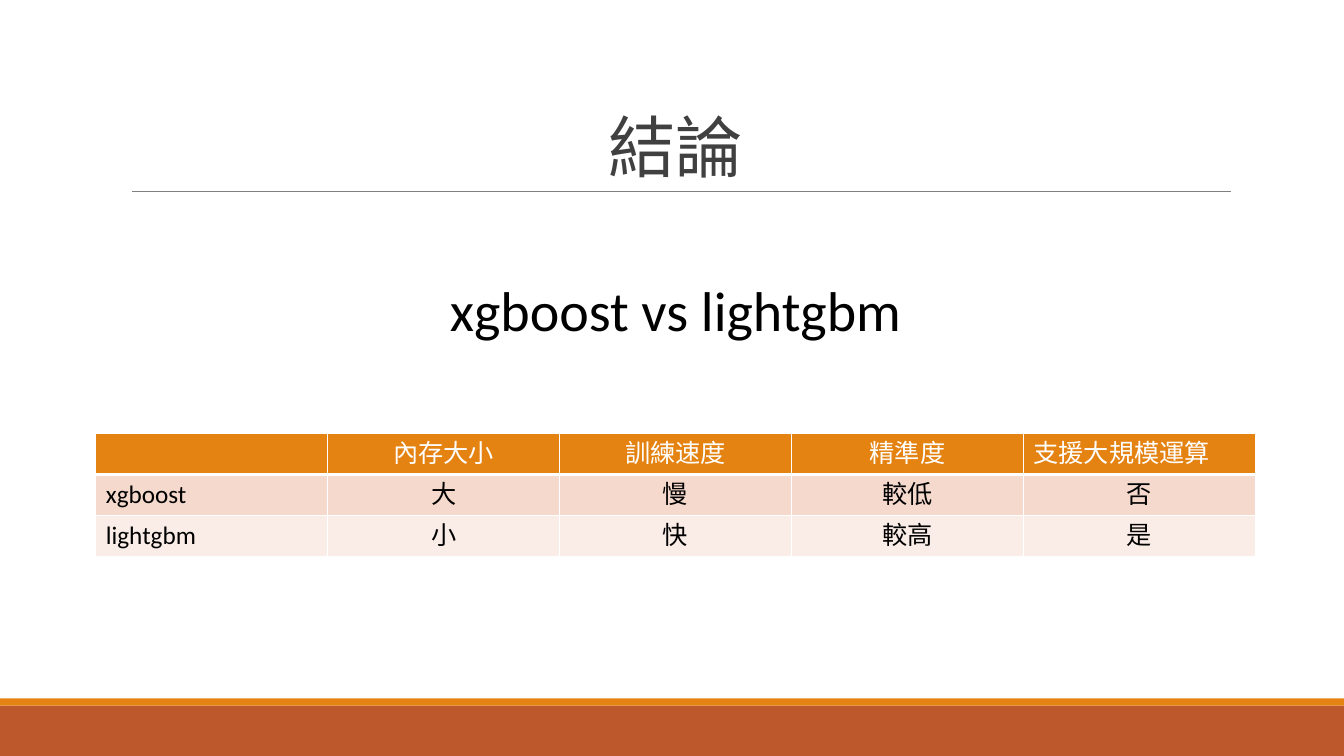
from lxml.etree import SubElement
from pptx import Presentation
from pptx.dml.color import RGBColor
from pptx.enum.shapes import MSO_CONNECTOR, MSO_SHAPE
from pptx.enum.text import MSO_ANCHOR, MSO_AUTO_SIZE, PP_ALIGN
from pptx.oxml.ns import qn
from pptx.util import Inches, Pt

SLIDE_W, SLIDE_H = 13.33, 7.5
ORANGE, RUST, WHITE, BLACK = "E48312", "BD582C", "FFFFFF", "000000"
ROW_FILLS = [ORANGE, "F5D9CC", "FAEDE7"]
COMPARISON = [
    ["", "內存大小", "訓練速度", "精準度", "支援大規模運算"],
    ["xgboost", "大", "慢", "較低", "否"],
    ["lightgbm", "小", "快", "較高", "是"],
]
LEFT_ALIGNED = {"xgboost", "lightgbm", "支援大規模運算"}


def color(hex_string):
    return RGBColor.from_string(hex_string)


def inches(box):
    return [Inches(length) for length in box]


def write(frame, text, size=18, fill=BLACK, align=PP_ALIGN.CENTER,
          line_spacing=None, tracking=None):
    paragraph = frame.paragraphs[0]
    paragraph.alignment = align
    paragraph.line_spacing = line_spacing
    run = paragraph.add_run()
    run.text = text
    run.font.name = "Calibri"
    run.font.size = Pt(size)
    run.font.bold = False
    run.font.color.rgb = color(fill)
    properties = run.font._element
    if tracking is not None:
        properties.set("spc", str(int(tracking * 100)))
    SubElement(properties, qn("a:ea")).set("typeface", "Calibri")


def add_footer(slide, box):
    """Stack a thin orange stripe on a rust band."""
    left, top, width, height = box
    stripe = 0.07
    for y, band_height, fill in [(top + stripe, height - stripe, RUST),
                                 (top, stripe, ORANGE)]:
        band = slide.shapes.add_shape(
            MSO_SHAPE.RECTANGLE, *inches((left, y, width, band_height)))
        band.shadow.inherit = False
        band.fill.solid()
        band.fill.fore_color.rgb = color(fill)
        band.line.fill.background()


def add_heading(slide, box, text):
    """Fill the title and underline it."""
    left, top, width, height = box
    title = slide.shapes.title
    title.left, title.top, title.width, title.height = inches(box)
    title.text_frame.vertical_anchor = MSO_ANCHOR.BOTTOM
    title.text_frame.auto_size = MSO_AUTO_SIZE.NONE
    write(title.text_frame, text, size=48, fill="404040",
          line_spacing=0.85, tracking=-0.5)
    rule_left, rule_right, rule_y = left + 0.11, left + width + 0.01, top + height
    rule = slide.shapes.add_connector(
        MSO_CONNECTOR.STRAIGHT, *inches((rule_left, rule_y, rule_right, rule_y)))
    rule.line.color.rgb = color("808080")
    rule.line.width = Pt(0.5)
    SubElement(rule._element.spPr, qn("a:effectLst"))


def add_subject(slide, box, text):
    subject = slide.shapes.add_textbox(*inches(box)).text_frame
    subject.word_wrap = True
    subject.auto_size = MSO_AUTO_SIZE.SHAPE_TO_FIT_TEXT
    write(subject, text, size=40)


def add_borders(cell, bottom_width):
    properties = cell._tc.get_or_add_tcPr()
    for side, width in [("L", 1), ("R", 1), ("T", 1), ("B", bottom_width)]:
        border = SubElement(properties, qn(f"a:ln{side}"), w=str(Pt(width)))
        solid = SubElement(border, qn("a:solidFill"))
        SubElement(solid, qn("a:srgbClr"), val=WHITE)


def add_comparison(slide, box, rows):
    table = slide.shapes.add_table(len(rows), len(rows[0]), *inches(box)).table
    for row_index, (row, fill) in enumerate(zip(rows, ROW_FILLS)):
        is_header = row_index == 0
        for column_index, text in enumerate(row):
            cell = table.cell(row_index, column_index)
            add_borders(cell, bottom_width=3 if is_header else 1)
            cell.fill.solid()
            cell.fill.fore_color.rgb = color(fill)
            if text:
                write(cell.text_frame, text, fill=WHITE if is_header else BLACK,
                      align=PP_ALIGN.LEFT if text in LEFT_ALIGNED else PP_ALIGN.CENTER)


def main():
    presentation = Presentation()
    presentation.slide_width = Inches(SLIDE_W)
    presentation.slide_height = Inches(SLIDE_H)
    slide = presentation.slides.add_slide(presentation.slide_layouts[5])
    add_footer(slide, (0, 6.93, SLIDE_W, SLIDE_H - 6.93))
    add_heading(slide, (1.2, 0.31, 11, 1.59), "結論")
    add_comparison(slide, (0.95, 4.3, 11.5, 1.22), COMPARISON)
    add_subject(slide, (-0.11, 2.68, 13.62, 0.77), "xgboost vs lightgbm")
    presentation.save("out.pptx")


if __name__ == "__main__":
    main()
